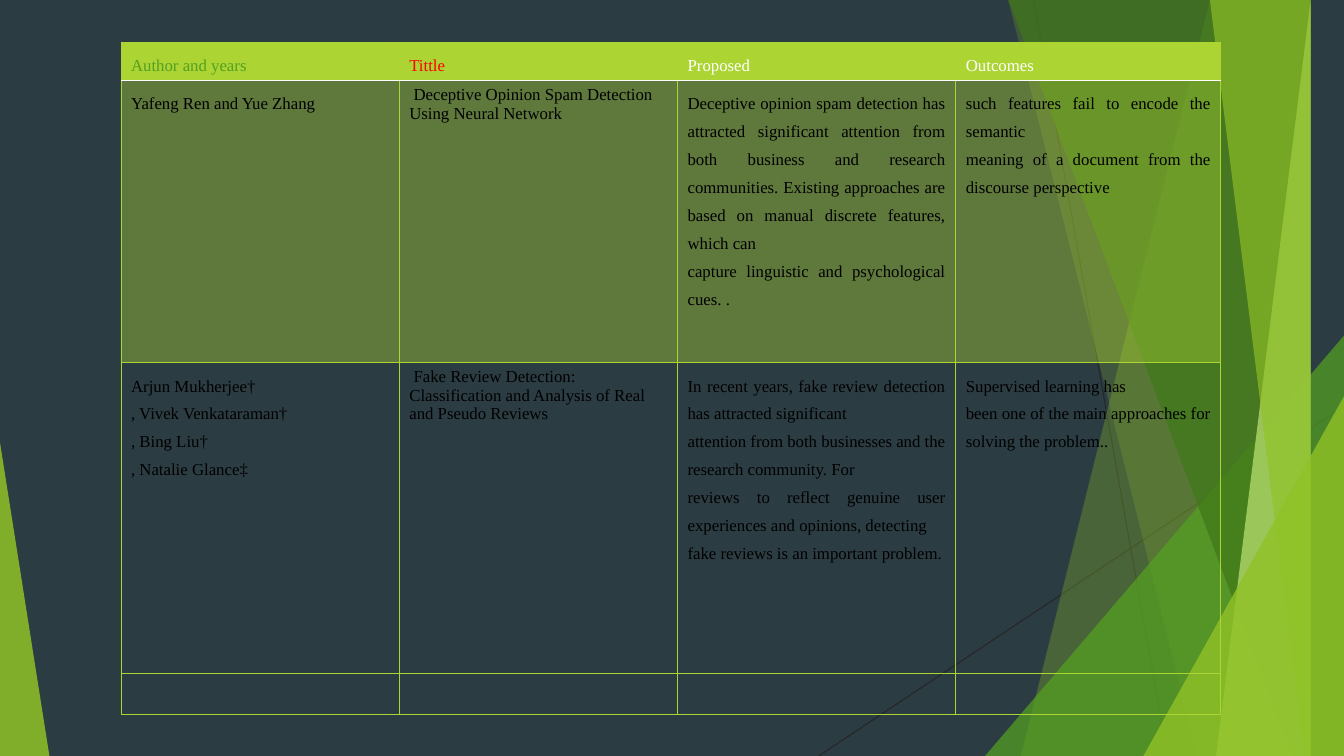
from lxml import etree
from pptx import Presentation
from pptx.dml.color import RGBColor
from pptx.enum import shapes, text
from pptx.oxml.ns import qn
from pptx.util import Inches, Pt

W, H = 13.33, 7.5
LIME, GREEN, LEAF = "ACD433", "90C226", "54A021"
FONT = "Times New Roman"
HEADERS = [("Author and years", LEAF), ("Tittle", "FF0000"),
           ("Proposed", "FFFFFF"), ("Outcomes", "FFFFFF")]
PAPERS = [
    [["Yafeng Ren and Yue Zhang"],
     [" Deceptive Opinion Spam Detection Using Neural Network"],
     ["Deceptive opinion spam detection has attracted significant attention from both "
      "business and research communities. Existing approaches are based on manual "
      "discrete features, which can",
      "capture linguistic and psychological cues. ."],
     ["such features fail to encode the semantic",
      "meaning of a document from the discourse perspective"]],
    [["Arjun Mukherjee†", ", Vivek Venkataraman†", ", Bing Liu†", ", Natalie Glance‡"],
     [" Fake Review Detection: Classification and Analysis of Real",
      "and Pseudo Reviews"],
     ["In recent years, fake review detection has attracted significant",
      "attention from both businesses and the research community. For",
      "reviews to reflect genuine user experiences and opinions, detecting",
      "fake reviews is an important problem."],
     ["Supervised learning has",
      "been one of the main approaches for solving the problem.."]],
    [[], [], [], []],
]
COL_WIDTHS = [2.76, 2.76, 2.76, 2.63]
ROW_HEIGHTS = [0.34, 2.8, 3.08, 0.37]


def rgb(color):
    return RGBColor.from_string(color)


def set_fill(fill, color, opacity=100):
    fill.solid()
    fill.fore_color.rgb = rgb(color)
    if opacity < 100:
        clr = fill._xPr.find(qn("a:solidFill"))[0]
        etree.SubElement(clr, qn("a:alpha"), val=str(opacity * 1000))


def style_facet(sp, color, opacity):
    sp.shadow.inherit = False
    sp.line.fill.background()
    set_fill(sp.fill, color, opacity)


def add_ray(s, x1, y1, x2, y2):
    line = s.shapes.add_connector(shapes.MSO_CONNECTOR.STRAIGHT, Inches(x1), Inches(y1),
                                  Inches(x2), Inches(y2))
    line.line.color.rgb = rgb("262626")
    line.line.width = Pt(0.75)
    etree.SubElement(line._element.spPr, qn("a:effectLst"))


def add_band(s, top_x, bottom_x, color, opacity):
    builder = s.shapes.build_freeform(top_x, 0, scale=Inches(1))
    builder.add_line_segments([(W, 0), (W, H), (bottom_x, H)])
    style_facet(builder.convert_to_shape(), color, opacity)


def add_triangle(s, x, y, w, apex, color, opacity):
    sp = s.shapes.add_shape(shapes.MSO_SHAPE.ISOSCELES_TRIANGLE, Inches(x), Inches(y),
                            Inches(w), Inches(H - y))
    sp.adjustments[0] = apex
    style_facet(sp, color, opacity)


def set_border(cell, side, color, width):
    ln = etree.Element(qn(f"a:ln{side}"), w=str(Pt(width)))
    fill = etree.SubElement(ln, qn("a:solidFill"))
    etree.SubElement(fill, qn("a:srgbClr"), val=color)
    return ln


def set_borders(cell, row):
    white_side = {0: "B", 1: "T"}.get(row)
    for i, side in enumerate("LRTB"):
        style = ("FFFFFF", 1.5) if side == white_side else (LIME, 0.75)
        cell._tc.get_or_add_tcPr().insert(i, set_border(cell, side, *style))


def write_cell(cell, lines, color, justified):
    tf = cell.text_frame
    for i, line in enumerate(lines):
        p = tf.add_paragraph() if i else tf.paragraphs[0]
        if justified:
            p.alignment = text.PP_ALIGN.JUSTIFY
            p.line_spacing = 1.5
        r = p.add_run()
        r.text = line
        r.font.name = FONT
        r.font.size = Pt(12)
        r.font.bold = False
        r.font.color.rgb = rgb(color)


def add_papers_table(s):
    rows = [[[title] for title, _ in HEADERS]] + PAPERS
    table = s.shapes.add_table(len(rows), len(COL_WIDTHS), Inches(1.2), Inches(0.42),
                               Inches(sum(COL_WIDTHS)), Inches(sum(ROW_HEIGHTS))).table
    table.first_row = table.horz_banding = False
    for column, width in zip(table.columns, COL_WIDTHS):
        column.width = Inches(width)
    for row, height in zip(table.rows, ROW_HEIGHTS):
        row.height = Inches(height)
    for i, row in enumerate(rows):
        for j, lines in enumerate(row):
            cell = table.cell(i, j)
            header = i == 0
            write_cell(cell, lines, HEADERS[j][1] if header else "000000",
                       header or j != 1)
            if i < 2:
                set_fill(cell.fill, LIME, 100 if header else 40)
            else:
                cell.fill.background()
            set_borders(cell, i)


def main():
    prs = Presentation()
    prs.slide_width, prs.slide_height = Inches(W), Inches(H)
    s = prs.slides.add_slide(prs.slide_layouts[6])
    set_fill(s.background.fill, "2C3C43")
    add_ray(s, 10.25, 0, 11.58, H)
    add_ray(s, W, 4.03, 8.12, H)
    add_band(s, 12.28, 10.04, GREEN, 30)
    add_band(s, 10.5, 11.83, GREEN, 20)
    add_triangle(s, 9.77, 3.33, 3.56, 1, LEAF, 72)
    add_band(s, 10.21, 12.91, "3F7819", 70)
    add_band(s, 13.03, 11.92, "C0E474", 70)
    add_band(s, 11.96, 13.18, GREEN, 65)
    add_triangle(s, 11.34, 3.93, 1.99, 1, GREEN, 80)
    add_triangle(s, 0, 4.39, 0.49, 0, GREEN, 85)
    add_papers_table(s)
    prs.save("out.pptx")


if __name__ == "__main__":
    main()
